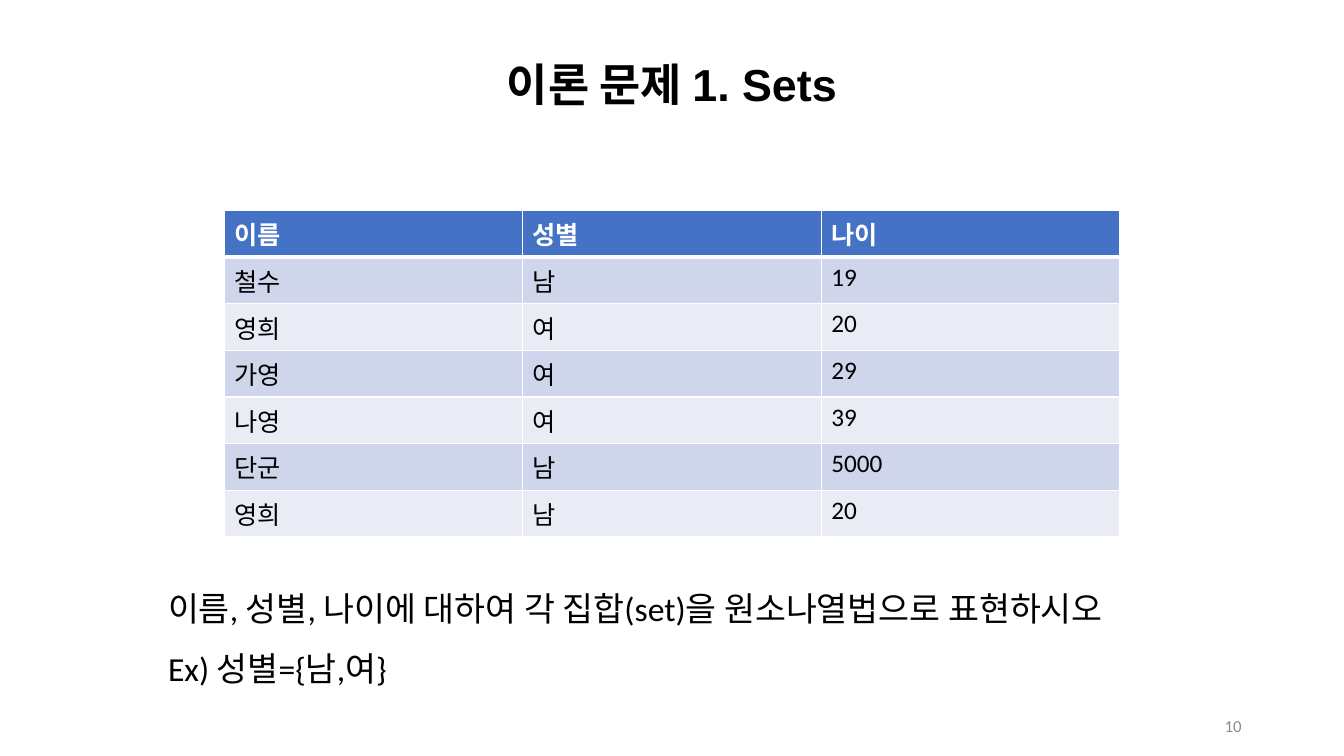
from lxml import etree
from pptx import Presentation
from pptx.dml.color import RGBColor
from pptx.enum.text import MSO_ANCHOR, MSO_AUTO_SIZE, PP_ALIGN
from pptx.oxml.ns import qn
from pptx.util import Pt

LEFT, CENTER, RIGHT = PP_ALIGN.LEFT, PP_ALIGN.CENTER, PP_ALIGN.RIGHT
TOP, MIDDLE = MSO_ANCHOR.TOP, MSO_ANCHOR.MIDDLE
NO_AUTOFIT = MSO_AUTO_SIZE.NONE

TITLE_ONLY = 5
BLACK, WHITE, GRAY = "000000", "FFFFFF", "8C8C8C"
HEADER_FILL = "4472C4"
BAND_FILLS = ("CFD5EA", "E9EBF5")

PEOPLE = [
    ("이름", "성별", "나이"),
    ("철수", "남", "19"),
    ("영희", "여", "20"),
    ("가영", "여", "29"),
    ("나영", "여", "39"),
    ("단군", "남", "5000"),
    ("영희", "남", "20"),
]
QUESTION = (
    "이름, 성별, 나이에 대하여 각 집합(set)을 원소나열법으로 표현하시오 \n"
    "Ex) 성별={남,여}"
)


def color(hex_value):
    """Turn a hex string into a colour."""
    return RGBColor.from_string(hex_value)


def write(text_frame, text, size=18, font="Calibri", fill=BLACK, bold=False,
          align=LEFT, spacing=1.0):
    """Write one formatted paragraph; a newline becomes a line break."""
    paragraph = text_frame.paragraphs[0]
    paragraph.text = text
    paragraph.alignment = align
    paragraph.line_spacing = spacing
    for run in paragraph.runs:
        run.font.size = Pt(size)
        run.font.name = font
        run.font.bold = bold
        run.font.color.rgb = color(fill)


def place(shape, left, top, width, height):
    """Set a shape's position and size in points."""
    shape.left, shape.top = Pt(left), Pt(top)
    shape.width, shape.height = Pt(width), Pt(height)


def add_title(slide, text):
    """Position and format the title placeholder."""
    title = slide.shapes.title
    place(title, 66, 28.8, 828, 66)
    title.text_frame.auto_size = NO_AUTOFIT
    title.text_frame.vertical_anchor = MIDDLE
    write(title.text_frame, text, size=32, font="Arial", bold=True,
          align=CENTER, spacing=0.9)


def add_text(slide, text, box, anchor=TOP, **text_format):
    """Add a wrapping text box."""
    shape = slide.shapes.add_textbox(*map(Pt, box))
    shape.text_frame.word_wrap = True
    shape.text_frame.vertical_anchor = anchor
    write(shape.text_frame, text, **text_format)


def set_borders(cell, **widths):
    """Draw white cell borders, 1 pt wide unless a side says otherwise."""
    properties = cell._tc.get_or_add_tcPr()
    for side in "LRTB":
        line = etree.SubElement(properties, qn(f"a:ln{side}"),
                                w=str(Pt(widths.get(side, 1))))
        solid = etree.SubElement(line, qn("a:solidFill"))
        etree.SubElement(solid, qn("a:srgbClr"), val=WHITE)


def add_people_table(slide, rows, box):
    """Add a table with a header row and banded body rows."""
    frame = slide.shapes.add_table(len(rows), len(rows[0]), *map(Pt, box))
    for row_index, row in enumerate(rows):
        header = row_index == 0
        fill = HEADER_FILL if header else BAND_FILLS[(row_index - 1) % 2]
        widths = {0: {"B": 3}, 1: {"T": 3}}.get(row_index, {})
        for column_index, text in enumerate(row):
            cell = frame.table.cell(row_index, column_index)
            set_borders(cell, **widths)
            cell.fill.solid()
            cell.fill.fore_color.rgb = color(fill)
            write(cell.text_frame, text, bold=header,
                  fill=WHITE if header else BLACK)


def main():
    """Build and save the slide."""
    presentation = Presentation()
    presentation.slide_width, presentation.slide_height = Pt(960), Pt(540)
    slide = presentation.slides.add_slide(
        presentation.slide_layouts[TITLE_ONLY])
    add_title(slide, "이론 문제 1. Sets")
    add_people_table(slide, PEOPLE, (160, 150.5, 640, 204.4))
    add_text(slide, QUESTION, (113, 401.8, 734, 90), size=24, spacing=1.5)
    add_text(slide, "10", (678, 504, 216, 28.8), anchor=MIDDLE, size=12,
             fill=GRAY, align=RIGHT)
    presentation.save("out.pptx")


main()
